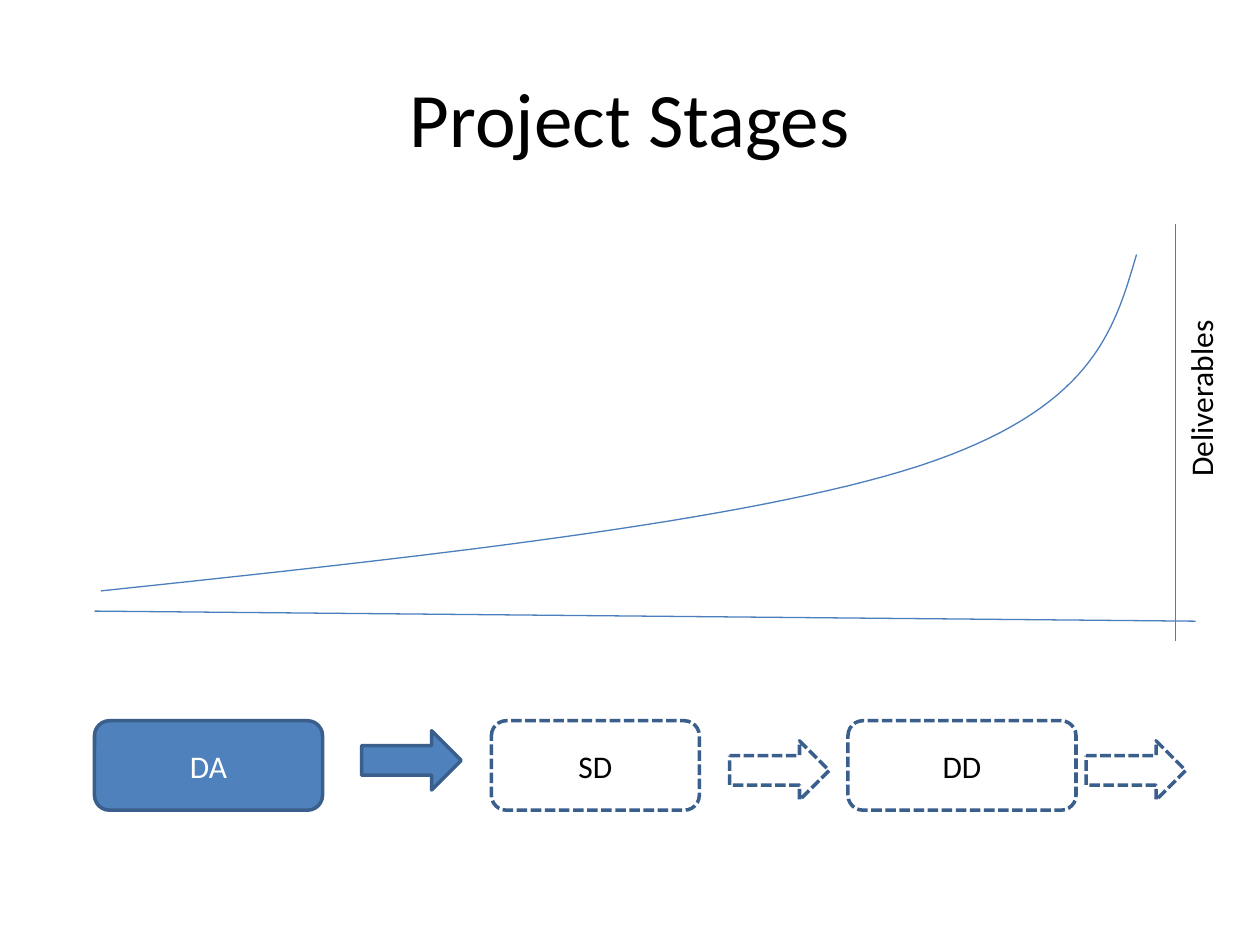
from dataclasses import dataclass

from lxml import etree
from pptx import Presentation
from pptx.dml.color import RGBColor
from pptx.enum.dml import MSO_LINE
from pptx.enum.shapes import MSO_CONNECTOR, MSO_SHAPE
from pptx.enum.text import MSO_ANCHOR, PP_ALIGN
from pptx.oxml.ns import qn
from pptx.util import Inches, Pt

ROUND_RECT, ARROW = MSO_SHAPE.ROUNDED_RECTANGLE, MSO_SHAPE.RIGHT_ARROW
STRAIGHT = MSO_CONNECTOR.STRAIGHT
DASH = MSO_LINE.SQUARE_DOT
CENTER = PP_ALIGN.CENTER
TOP, MIDDLE = MSO_ANCHOR.TOP, MSO_ANCHOR.MIDDLE


@dataclass(frozen=True)
class Theme:
    """Colours, font and sizes of the slide."""
    black: RGBColor = RGBColor(0x00, 0x00, 0x00)
    white: RGBColor = RGBColor(0xFF, 0xFF, 0xFF)
    accent: RGBColor = RGBColor(0x4F, 0x81, 0xBD)
    border: RGBColor = RGBColor(0x3A, 0x5F, 0x8C)
    chart_line: RGBColor = RGBColor(0x4B, 0x7E, 0xBC)
    font: str = "Calibri"
    title: Pt = Pt(44)
    body: Pt = Pt(18)
    thick: Pt = Pt(2)
    thin: Pt = Pt(0.75)


THEME = Theme()


def set_text(sp, text, size, color, anchor=MIDDLE):
    """Write one centred paragraph into a shape."""
    tf = sp.text_frame
    tf.word_wrap = True
    tf.vertical_anchor = anchor
    p = tf.paragraphs[0]
    p.alignment = CENTER
    r = p.add_run()
    r.text = text
    for name, value in {"name": THEME.font, "size": size}.items():
        setattr(r.font, name, value)
    r.font.color.rgb = color


def set_line(sp, color, width, dash=None):
    """Format the outline of a shape or connector."""
    sp.line.color.rgb = color
    sp.line.width = width
    if dash:
        sp.line.dash_style = dash


def add_label(s, box, text, size, anchor=MIDDLE):
    """Add a text box filling the given box."""
    sp = s.shapes.add_textbox(*map(Inches, box))
    set_text(sp, text, size, THEME.black, anchor)
    return sp


def add_step(s, kind, box, done):
    """Add a flow shape, solid when done and dashed when ahead."""
    sp = s.shapes.add_shape(kind, *map(Inches, box))
    sp.shadow.inherit = False
    if done:
        sp.fill.solid()
        sp.fill.fore_color.rgb = THEME.accent
    else:
        sp.fill.background()
    set_line(sp, THEME.border, THEME.thick, None if done else DASH)
    return sp


def add_axis(s, start, end):
    """Add a thin straight axis between two points."""
    line = s.shapes.add_connector(STRAIGHT, *map(Inches, start + end))
    etree.SubElement(line._element.spPr, qn("a:effectLst"))
    set_line(line, THEME.chart_line, THEME.thin)


def bezier(points, steps=32):
    """Return the points along a cubic Bezier curve, without its start."""
    curve = []
    for i in range(1, steps + 1):
        t = i / steps
        weights = ((1 - t) ** 3, 3 * t * (1 - t) ** 2, 3 * t * t * (1 - t), t ** 3)
        curve.append(tuple(Inches(sum(w * p[axis] for w, p in zip(weights, points)))
                           for axis in (0, 1)))
    return curve


def add_growth_chart(s, box):
    """Draw the axes, the growth curve and the side label."""
    x, y, w, h = box
    axis_x = x + 8.58
    add_axis(s, (x, y + 3.07), (x + w, y + 3.15))
    add_axis(s, (axis_x, y), (axis_x, y + h))

    knots = [(x + dx, y + dy) for dx, dy in (
        (0.05, 2.91), (2.61, 2.64), (5.17, 2.36), (6.54, 1.92),
        (7.91, 1.47), (8.09, 0.86), (8.27, 0.24))]
    builder = s.shapes.build_freeform(*map(Inches, knots[0]), scale=1.0)
    builder.add_line_segments(bezier(knots[:4]) + bezier(knots[3:]), close=False)
    curve = builder.convert_to_shape()
    curve.shadow.inherit = False
    curve.fill.background()
    set_line(curve, THEME.chart_line, THEME.thin)

    label = add_label(s, (axis_x, y + 0.4, 0.5, 1.97), "Deliverables", THEME.body, TOP)
    label.text_frame._txBody.bodyPr.set("vert", "vert270")


def add_stage_flow(s, box):
    """Place the stages and the arrows that follow them."""
    x, y, _, h = box
    stages = (
        ("DA", 0, 1.81, 2.12, 0.08, True),
        ("SD", 3.15, 1.65, 5.04, 0.16, False),
        ("DD", 5.98, 1.81, 7.87, 0.16, False),
    )
    for text, left, width, arrow_left, arrow_drop, done in stages:
        stage = add_step(s, ROUND_RECT, (x + left, y, width, h), done)
        set_text(stage, text, THEME.body, THEME.white if done else THEME.black)
        add_step(s, ARROW, (x + arrow_left, y + arrow_drop, 0.79, 0.47), done)


def main():
    """Build and save the slide."""
    prs = Presentation()
    prs.slide_width, prs.slide_height = Inches(10), Inches(7.5)
    s = prs.slides.add_slide(prs.slide_layouts[6])
    add_label(s, (0.5, 0.3, 9, 1.25), "Project Stages", THEME.title)
    add_stage_flow(s, (0.75, 5.72, 8.66, 0.71))
    add_growth_chart(s, (0.75, 1.78, 8.74, 3.31))
    prs.save("out.pptx")


if __name__ == "__main__":
    main()
